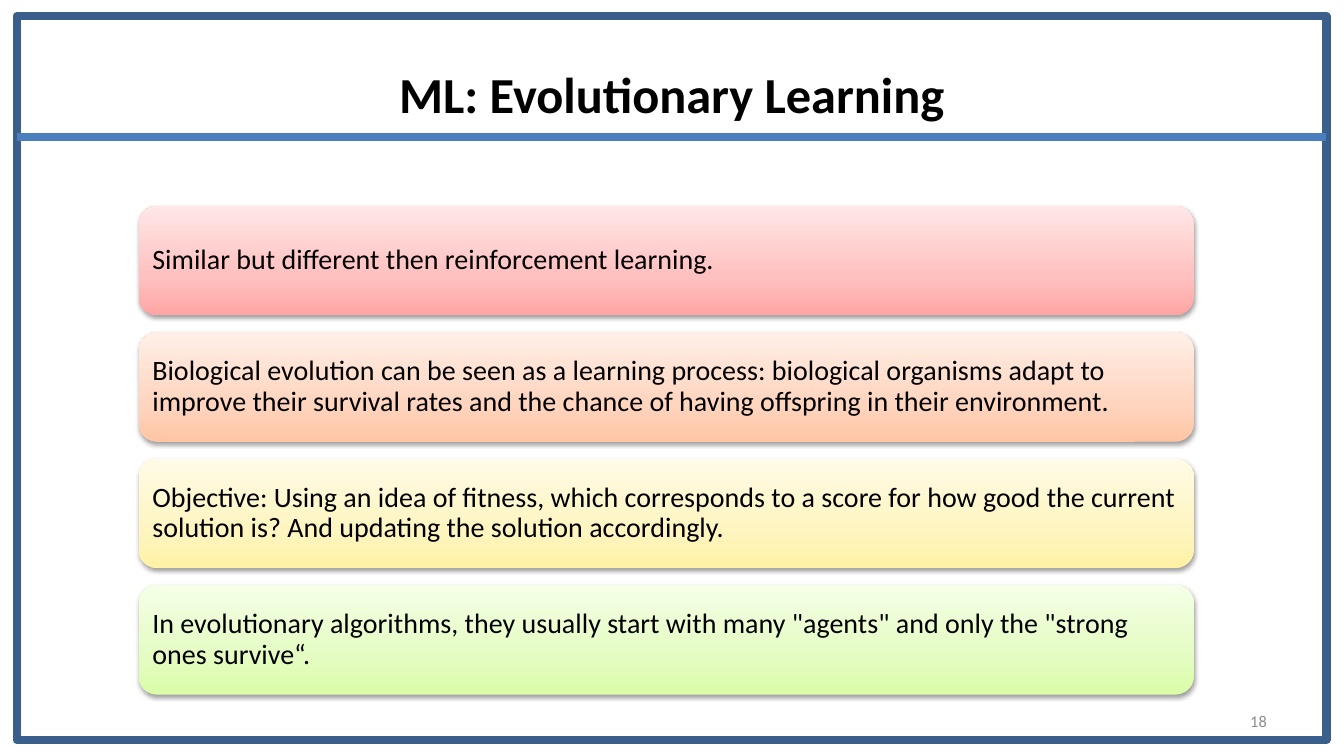
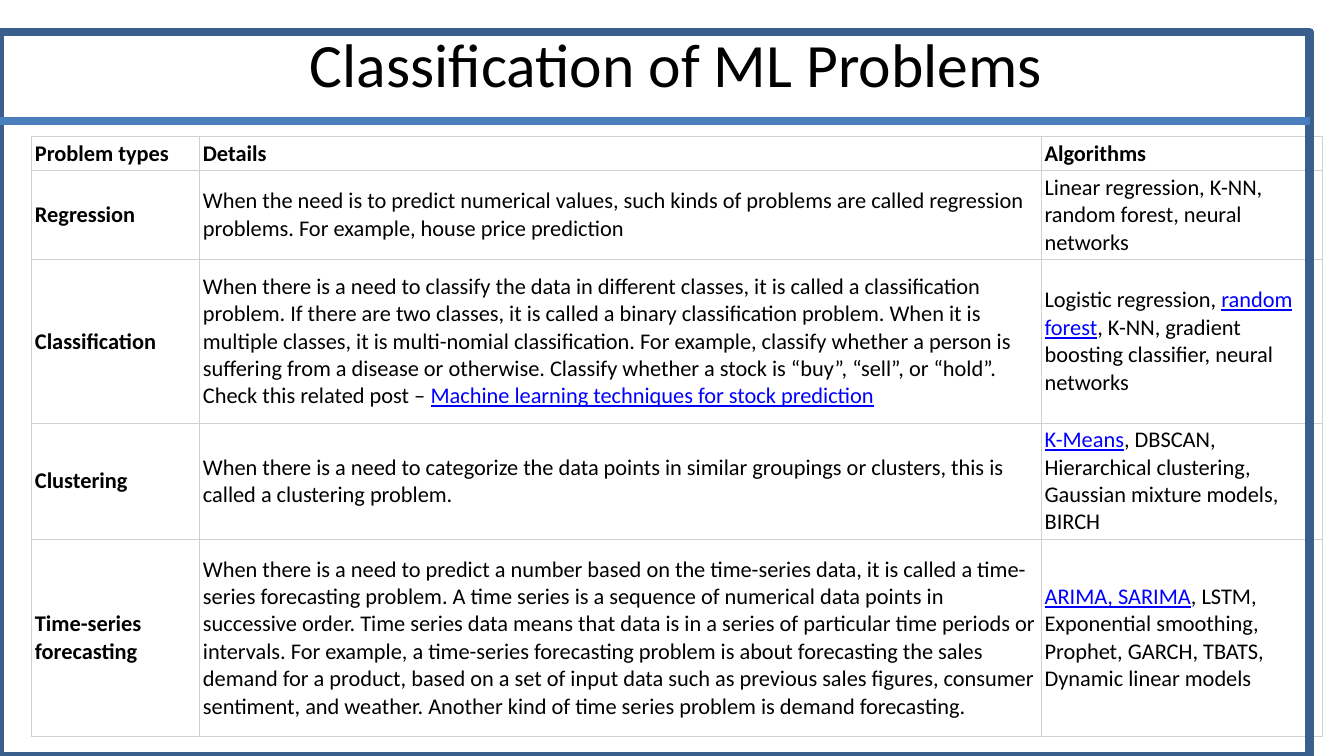
from collections import namedtuple
from copy import deepcopy

from pptx import Presentation
from pptx.dml.color import RGBColor
from pptx.enum.shapes import MSO_CONNECTOR, MSO_SHAPE
from pptx.enum.text import MSO_ANCHOR, PP_ALIGN
from pptx.oxml import parse_xml
from pptx.oxml.ns import nsdecls, qn
from pptx.util import Emu, Pt

# Grid: 160 columns by 90 rows of square cells
COLS, ROWS, CELL = 160, 90, 76200
FONT = "Calibri"
BLACK, WHITE, GREY, LINK = "000000", "FFFFFF", "8C8C8C", "0000FF"
EDGE, BAND, RULE = "3A5F8C", "4B7EBC", "D1D1D1"
Box = namedtuple("Box", "x y w h")

CARDS = [
    ("Similar but different then reinforcement learning.",
     ("FFA6A5", "FFC0BF", "FFE7E7")),
    ("Biological evolution can be seen as a learning process: biological "
     "organisms adapt to improve their survival rates and the chance of "
     "having offspring in their environment.",
     ("FFC5A5", "FFD5BF", "FFEFE7")),
    ("Objective: Using an idea of fitness, which corresponds to a score for "
     "how good the current solution is? And updating the solution accordingly.",
     ("FFF2A5", "FEF5C0", "FFFBE7")),
    ('In evolutionary algorithms, they usually start with many "agents" and '
     'only the "strong ones survive“.',
     ("DAFDA7", "E4FCC2", "F5FFE7")),
]

# Text between bars is styled as a link
TABLE = [
    ("Problem types", "Details", "Algorithms"),
    ("Regression",
     "When the need is to predict numerical values, such kinds of problems are "
     "called regression problems. For example, house price prediction",
     "Linear regression, K-NN, random forest, neural networks"),
    ("Classification",
     "When there is a need to classify the data in different classes, it is "
     "called a classification problem. If there are two classes, it is called "
     "a binary classification problem. When it is multiple classes, it is "
     "multi-nomial classification. For example, classify whether a person is "
     "suffering from a disease or otherwise. Classify whether a stock is "
     "“buy”, “sell”, or “hold”. Check this related post – "
     "|Machine learning techniques for stock prediction|",
     "Logistic regression, |random forest|, K-NN, gradient boosting "
     "classifier, neural networks"),
    ("Clustering",
     "When there is a need to categorize the data points in similar groupings "
     "or clusters, this is called a clustering problem.",
     "|K-Means|, DBSCAN, Hierarchical clustering, Gaussian mixture models, "
     "BIRCH"),
    ("Time-series forecasting",
     "When there is a need to predict a number based on the time-series data, "
     "it is called a time-series forecasting problem. A time series is a "
     "sequence of numerical data points in successive order. Time series data "
     "means that data is in a series of particular time periods or intervals. "
     "For example, a time-series forecasting problem is about forecasting the "
     "sales demand for a product, based on a set of input data such as "
     "previous sales figures, consumer sentiment, and weather. Another kind of "
     "time series problem is demand forecasting.",
     "|ARIMA, SARIMA|, LSTM, Exponential smoothing, Prophet, GARCH, TBATS, "
     "Dynamic linear models"),
]


def hue(code):
    return RGBColor.from_string(code)


def grid(*cells):
    return [Emu(round(n * CELL)) for n in cells]


def write(frame, text, size=16, bold=False, color=BLACK,
          align=PP_ALIGN.LEFT, space=None):
    """Fill a text frame with one paragraph; barred parts become links."""
    para = frame.paragraphs[0]
    para.alignment = align
    para.line_spacing = space
    for i, part in enumerate(text.split("|")):
        if not part:
            continue
        run = para.add_run()
        run.text = part
        font = run.font
        font.name, font.size, font.bold = FONT, Pt(size), bold
        font.underline = i % 2 == 1
        font.color.rgb = hue(LINK if i % 2 else color)


def label(slide, box, text, **style):
    frame = slide.shapes.add_textbox(*grid(*box)).text_frame
    frame.word_wrap = True
    frame.vertical_anchor = MSO_ANCHOR.MIDDLE
    write(frame, text, **style)


def border(slide, box, band):
    """Outline the box and rule it across, band rows below its top."""
    edge = slide.shapes.add_shape(MSO_SHAPE.RECTANGLE, *grid(*box))
    edge.shadow.inherit = False
    edge.fill.background()
    edge.line.color.rgb = hue(EDGE)
    edge.line.width = Pt(6)
    y = box.y + band
    bar = slide.shapes.add_connector(
        MSO_CONNECTOR.STRAIGHT, *grid(box.x, y, box.x + box.w, y))
    bar.line.color.rgb = hue(BAND)
    bar.line.width = Pt(6)
    bar._element.spPr.append(parse_xml(f"<a:effectLst {nsdecls('a')}/>"))


def shade(card, tones):
    """Three-tone fill rising from the bottom, with a soft shadow."""
    card.fill.gradient()
    card.fill.gradient_angle = 90
    props = card._element.spPr
    stops = props.find(".//" + qn("a:gsLst"))
    stops.append(deepcopy(stops[0]))
    for stop, tone, place in zip(card.fill.gradient_stops, tones, (0, .35, 1)):
        stop.color.rgb = hue(tone)
        stop.position = place
    card.line.fill.background()
    card.shadow.inherit = False
    props.find(qn("a:effectLst")).append(parse_xml(
        f'<a:outerShdw {nsdecls("a")} blurRad="40000" dist="20000" '
        'dir="5400000" rotWithShape="0"><a:srgbClr val="000000">'
        '<a:alpha val="38000"/></a:srgbClr></a:outerShdw>'))


def stack(slide, box, cards, gap=2):
    """Equal cards, one below another, filling the box."""
    high = (box.h - gap * (len(cards) - 1)) / len(cards)
    for i, (text, tones) in enumerate(cards):
        place = grid(box.x, box.y + i * (high + gap), box.w, high)
        card = slide.shapes.add_shape(MSO_SHAPE.ROUNDED_RECTANGLE, *place)
        shade(card, tones)
        frame = card.text_frame
        frame.word_wrap = True
        frame.vertical_anchor = MSO_ANCHOR.MIDDLE
        frame.margin_left = frame.margin_right = Pt(6)
        write(frame, text, size=20, space=0.9)


def outline(cell):
    props = cell._tc.get_or_add_tcPr()
    for i, side in enumerate("LRTB"):
        props.insert(i, parse_xml(
            f'<a:ln{side} {nsdecls("a")} w="9525"><a:solidFill>'
            f'<a:srgbClr val="{RULE}"/></a:solidFill></a:ln{side}>'))


def matrix(slide, box, rows, wide, high):
    """Table whose columns and rows share the box by the given weights."""
    table = slide.shapes.add_table(len(rows), len(wide), *grid(*box)).table
    table.first_row = table.horz_banding = False
    for col, part in zip(table.columns, wide):
        col.width, = grid(box.w * part / sum(wide))
    for row, part in zip(table.rows, high):
        row.height, = grid(box.h * part / sum(high))
    for r, row in enumerate(rows):
        for c, text in enumerate(row):
            cell = table.cell(r, c)
            cell.margin_left = cell.margin_right = Pt(2.2)
            cell.margin_top = cell.margin_bottom = Pt(2.2)
            cell.vertical_anchor = MSO_ANCHOR.MIDDLE
            cell.fill.solid()
            cell.fill.fore_color.rgb = hue(WHITE)
            outline(cell)
            write(cell.text_frame, text, bold=r == 0 or c == 0)


def main():
    deck = Presentation()
    deck.slide_width, deck.slide_height = grid(COLS, ROWS)
    blank = deck.slide_layouts[6]
    mid = PP_ALIGN.CENTER

    # Evolutionary learning: title, cards, page number
    slide = deck.slides.add_slide(blank)
    label(slide, Box(8, 3.6, 144, 15), "ML: Evolutionary Learning",
          size=36, bold=True, align=mid)
    stack(slide, Box(16.5, 24.5, 125.6, 58.2), CARDS)
    label(slide, Box(114.7, 83.4, 37.3, 4.8), "18",
          size=11.7, color=GREY, align=PP_ALIGN.RIGHT)
    border(slide, Box(2, 1.9, 155.9, 86.2), 14.4)

    # Problem types: title, table
    slide = deck.slides.add_slide(blank)
    label(slide, Box(26.5, 0, 108, 15), "Classification of ML Problems",
          size=44, align=mid)
    matrix(slide, Box(3.8, 16.3, 153.6, 71.4), TABLE,
           wide=(20, 100.2, 33.4), high=(4, 10.6, 19.5, 13.8, 23.5))
    border(slide, Box(0, 3.8, 155.9, 86.2), 10.6)

    deck.save("out.pptx")


if __name__ == "__main__":
    main()
